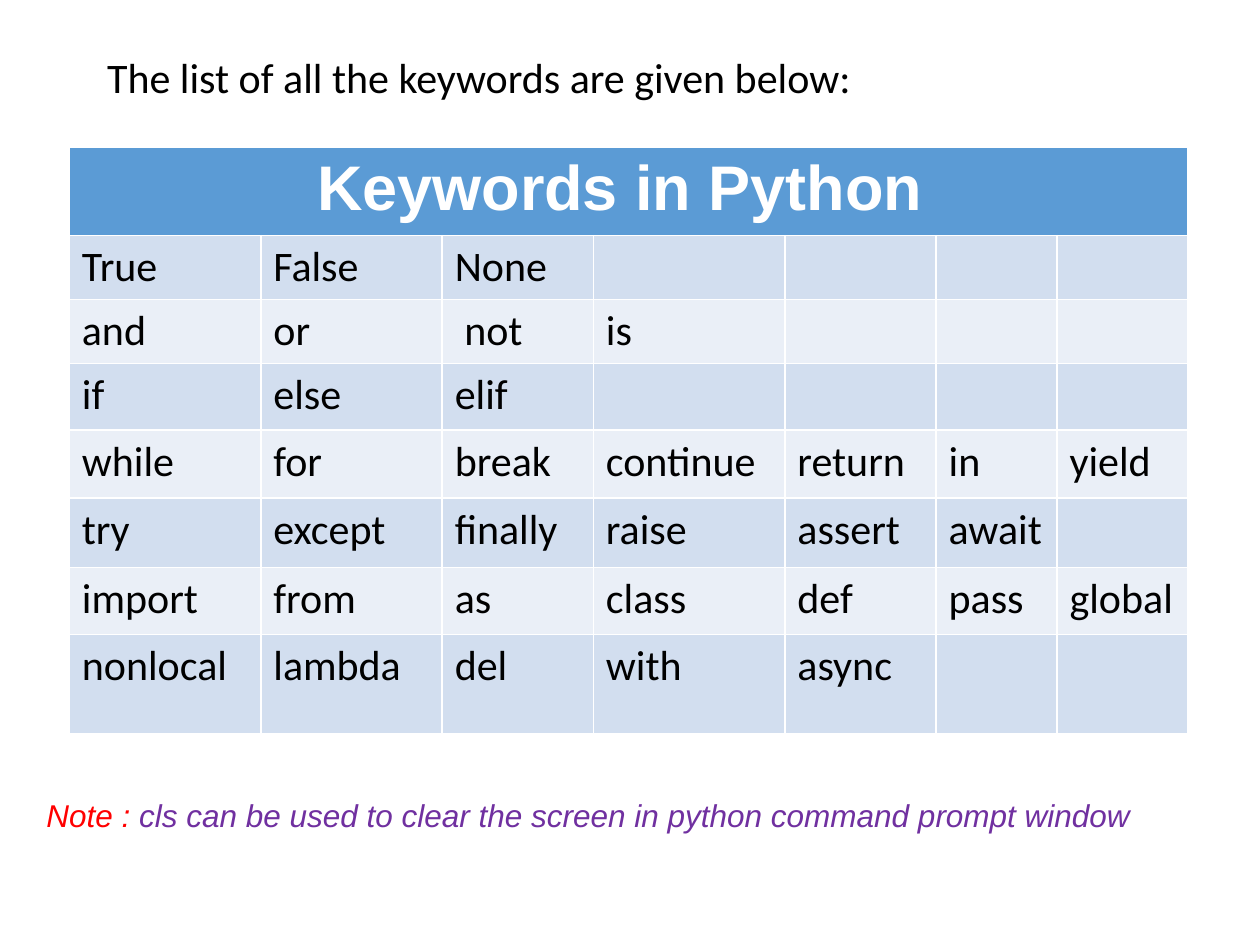
from pptx import Presentation
from pptx.dml.color import RGBColor
from pptx.enum import text
from pptx.util import Inches, Pt

HEADING = "Keywords in Python "
KEYWORDS = [
    ["True", "False", "None"],
    ["and", "or", " not", "is"],
    ["if", "else", "elif"],
    ["while", "for", "break", "continue", "return", "in", "yield"],
    ["try", "except", "finally", "raise", "assert", "await"],
    ["import", "from", "as", "class", "def", "pass", "global"],
    ["nonlocal", "lambda", "del", "with", "async"],
]
COLUMN_WIDTHS = [1.52, 1.44, 1.2, 1.52, 1.2, 0.96, 1.04]
ROW_HEIGHTS = [0.7, 0.5, 0.5, 0.53, 0.54, 0.55, 0.53, 0.79]
BAND_FILLS = ["D2DEEF", "EAEFF7"]


def style_font(font, name, size, color, bold=False, italic=False):
    font.name, font.size = name, Pt(size)
    font.bold, font.italic = bold, italic
    font.color.rgb = RGBColor.from_string(color)


def fill_cell(cell, color):
    cell.fill.solid()
    cell.fill.fore_color.rgb = RGBColor.from_string(color)


def place_title(slide, left, top, width, height):
    title = slide.shapes.title
    title.left, title.top, title.width, title.height = map(
        Inches, (left, top, width, height))
    frame = title.text_frame
    frame.text = "The list of all the keywords are given below:"
    frame.auto_size = text.MSO_AUTO_SIZE.NONE
    frame.vertical_anchor = text.MSO_ANCHOR.TOP
    sentence = frame.paragraphs[0]
    sentence.alignment = text.PP_ALIGN.LEFT
    style_font(sentence.font, "Calibri", 24, "000000")


def add_keyword_table(slide, left, top, width, height):
    table = slide.shapes.add_table(
        len(ROW_HEIGHTS), len(COLUMN_WIDTHS),
        *map(Inches, (left, top, width, height))).table
    for column, column_width in zip(table.columns, COLUMN_WIDTHS):
        column.width = Inches(column_width)
    for row, row_height in zip(table.rows, ROW_HEIGHTS):
        row.height = Inches(row_height)

    # Heading across all columns
    heading = table.cell(0, 0)
    heading.merge(table.cell(0, len(COLUMN_WIDTHS) - 1))
    fill_cell(heading, "5B9BD5")
    heading.text = HEADING
    heading_line = heading.text_frame.paragraphs[0]
    heading_line.alignment = text.PP_ALIGN.CENTER
    style_font(heading_line.font, "Arial", 36, "FFFFFF", bold=True)

    # Banded keyword rows
    for r, words in enumerate(KEYWORDS):
        for c in range(len(COLUMN_WIDTHS)):
            cell = table.cell(r + 1, c)
            fill_cell(cell, BAND_FILLS[r % 2])
            if c < len(words):
                cell.text = words[c]
                style_font(cell.text_frame.paragraphs[0].font,
                           "Calibri", 24, "000000")


def add_note(slide, left, top, width, height):
    frame = slide.shapes.add_textbox(
        *map(Inches, (left, top, width, height))).text_frame
    frame.word_wrap = False
    note = frame.paragraphs[0]
    for words, color in [
        ("Note : ", "FF0000"),
        ("cls can be used to clear the screen in python command prompt window",
         "7030A0"),
    ]:
        run = note.add_run()
        run.text = words
        style_font(run.font, "Arial", 18, color, italic=True)


def main():
    deck = Presentation()
    deck.slide_width, deck.slide_height = Inches(10), Inches(7.5)
    slide = deck.slides.add_slide(deck.slide_layouts.get_by_name("Title Only"))
    add_keyword_table(slide, 0.55, 1.17, sum(COLUMN_WIDTHS), sum(ROW_HEIGHTS))
    place_title(slide, 0.75, 0.36, 7.66, 0.51)
    add_note(slide, 0.27, 6.27, 8.95, 0.4)
    deck.save("out.pptx")


if __name__ == "__main__":
    main()
